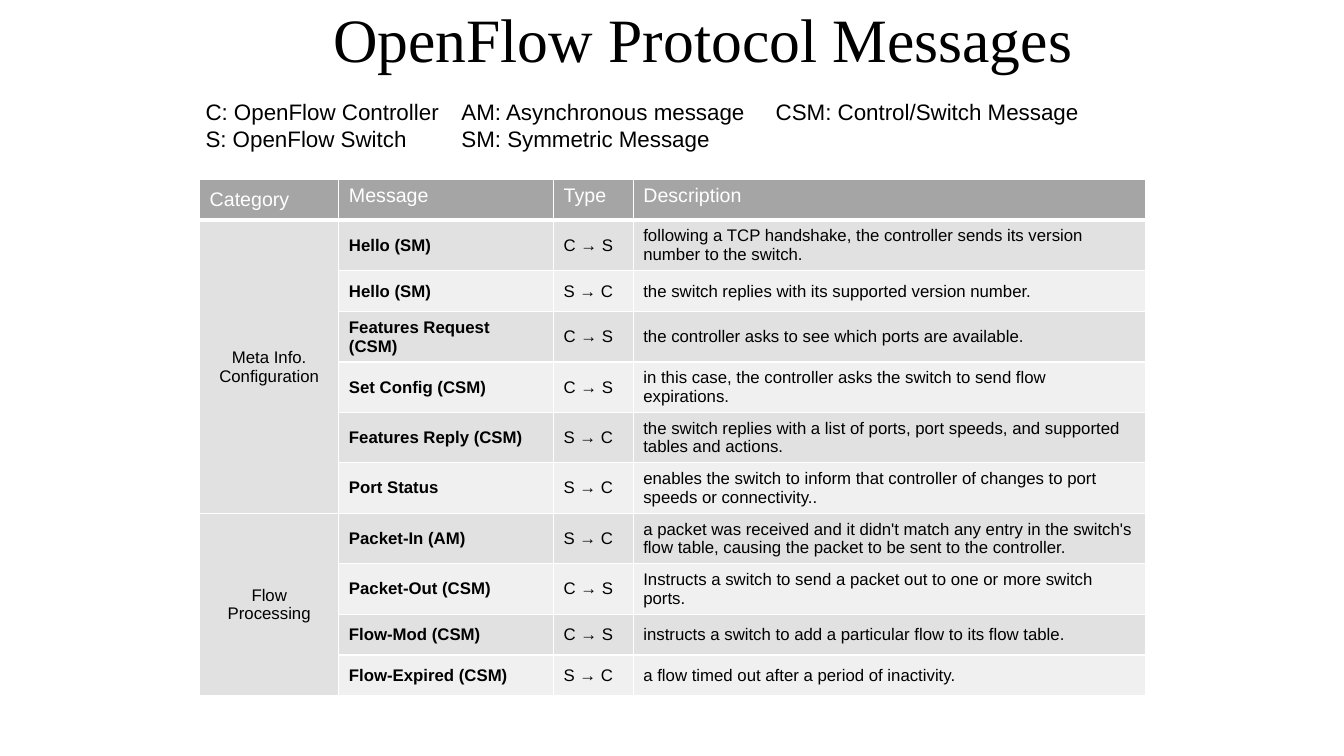
from lxml import etree
from pptx import Presentation
from pptx.dml.color import RGBColor
from pptx.enum.text import MSO_ANCHOR, PP_ALIGN
from pptx.oxml.ns import qn
from pptx.util import Cm, Pt

# Content
TITLE = "OpenFlow Protocol Messages"
ROLES = ["C: OpenFlow Controller", "S: OpenFlow Switch"]
KINDS = ["AM: Asynchronous message\tCSM: Control/Switch Message\vSM: Symmetric Message"]
HEADER = ["Category", "Message", "Type", "Description"]
TO_SWITCH, TO_CONTROLLER = "C → S", "S → C"
CATEGORIES = [
    (["Meta Info.", "Configuration"], [
        ("Hello (SM)", TO_SWITCH,
         "following a TCP handshake, the controller sends its version number to the switch."),
        ("Hello (SM)", TO_CONTROLLER, "the switch replies with its supported version number."),
        ("Features Request\v(CSM)", TO_SWITCH,
         "the controller asks to see which ports are available."),
        ("Set Config (CSM)", TO_SWITCH,
         "in this case, the controller asks the switch to send flow expirations."),
        ("Features Reply (CSM)", TO_CONTROLLER,
         "the switch replies with a list of ports, port speeds, and supported tables and actions."),
        ("Port Status", TO_CONTROLLER,
         "enables the switch to inform that controller of changes to port speeds or connectivity.."),
    ]),
    (["Flow Processing"], [
        ("Packet-In (AM)", TO_CONTROLLER,
         "a packet was received and it didn't match any entry in the switch's flow table, "
         "causing the packet to be sent to the controller."),
        ("Packet-Out (CSM)", TO_SWITCH,
         "Instructs a switch to send a packet out to one or more switch ports."),
        ("Flow-Mod (CSM)", TO_SWITCH,
         "instructs a switch to add a particular flow to its flow table."),
        ("Flow-Expired (CSM)", TO_CONTROLLER, "a flow timed out after a period of inactivity."),
    ]),
]

# Style
BLACK = RGBColor(0x00, 0x00, 0x00)
WHITE = RGBColor(0xFF, 0xFF, 0xFF)
HEAD_GREY = RGBColor(0xA5, 0xA5, 0xA5)
DARK_BAND = RGBColor(0xE1, 0xE1, 0xE1)
LIGHT_BAND = RGBColor(0xF0, 0xF0, 0xF0)
SANS, SERIF = "Arial", "Times New Roman"
TOP, MIDDLE = MSO_ANCHOR.TOP, MSO_ANCHOR.MIDDLE
LEFT, CENTER = PP_ALIGN.LEFT, PP_ALIGN.CENTER
COL_WIDTHS = [Cm(3.51), Cm(5.41), Cm(2.01), Cm(12.9)]
ROW_HEIGHT = Cm(1.03)
TAB_STOP = Cm(7.92)


def write(tf, lines, size, color=BLACK, font=SANS, bold=False, align=LEFT):
    for i, line in enumerate(lines):
        p = tf.paragraphs[0] if i == 0 else tf.add_paragraph()
        p.alignment = align
        if "\t" in line:
            tabs = etree.SubElement(p._p.get_or_add_pPr(), qn("a:tabLst"))
            etree.SubElement(tabs, qn("a:tab"), pos=str(TAB_STOP), algn="l")
        for j, part in enumerate(line.split("\v")):
            if j:
                p.add_line_break()
            r = p.add_run()
            r.text = part
            r.font.name, r.font.size = font, Pt(size)
            r.font.bold, r.font.color.rgb = bold, color


def add_text(left, top, width, height, lines, size, font=SANS, wrap=True):
    tf = s.shapes.add_textbox(left, top, width, height).text_frame
    tf.word_wrap = wrap
    write(tf, lines, size, font=font)
    return tf


def paint(cell, fill, bottom=1):
    tcPr = cell._tc.get_or_add_tcPr()
    for side, width in (("L", 1), ("R", 1), ("T", 1), ("B", bottom)):
        ln = etree.SubElement(tcPr, qn("a:ln" + side), w=str(Pt(width)))
        solid = etree.SubElement(ln, qn("a:solidFill"))
        etree.SubElement(solid, qn("a:srgbClr"), val=str(WHITE))
    cell.fill.solid()
    cell.fill.fore_color.rgb = fill


prs = Presentation()
prs.slide_width, prs.slide_height = Cm(33.87), Cm(19.05)
s = prs.slides.add_slide(prs.slide_layouts[6])

# Title
tf = add_text(Cm(8.15), Cm(-0.23), Cm(29.21), Cm(2.59), [TITLE], 44, SERIF)
tf.vertical_anchor = MIDDLE
tf.paragraphs[0].line_spacing = 0.9

# Message table
row_count = 1 + sum(len(messages) for _, messages in CATEGORIES)
table = s.shapes.add_table(row_count, len(HEADER), Cm(5.03), Cm(4.52),
                           sum(COL_WIDTHS), ROW_HEIGHT * row_count).table
for column, width in zip(table.columns, COL_WIDTHS):
    column.width = width
for row in table.rows:
    row.height = ROW_HEIGHT

for c, label in enumerate(HEADER):
    cell = table.cell(0, c)
    paint(cell, HEAD_GREY, bottom=3)
    cell.vertical_anchor = MIDDLE if c == 0 else TOP
    write(cell.text_frame, [label], 14, WHITE)

row = 1
for category, messages in CATEGORIES:
    first = table.cell(row, 0)
    first.merge(table.cell(row + len(messages) - 1, 0))
    first.vertical_anchor = MIDDLE
    write(first.text_frame, category, 12, align=CENTER)
    for message in messages:
        paint(table.cell(row, 0), DARK_BAND)
        for c, text in enumerate(message, start=1):
            cell = table.cell(row, c)
            paint(cell, DARK_BAND if row % 2 else LIGHT_BAND)
            cell.vertical_anchor = MIDDLE
            write(cell.text_frame, [text], 12, bold=c == 1)
        row += 1

# Abbreviations
add_text(Cm(4.93), Cm(2.36), Cm(6.45), Cm(1.63), ROLES, 16, wrap=False)
add_text(Cm(11.38), Cm(2.36), Cm(16.38), Cm(1.63), KINDS, 16)

prs.save("out.pptx")
